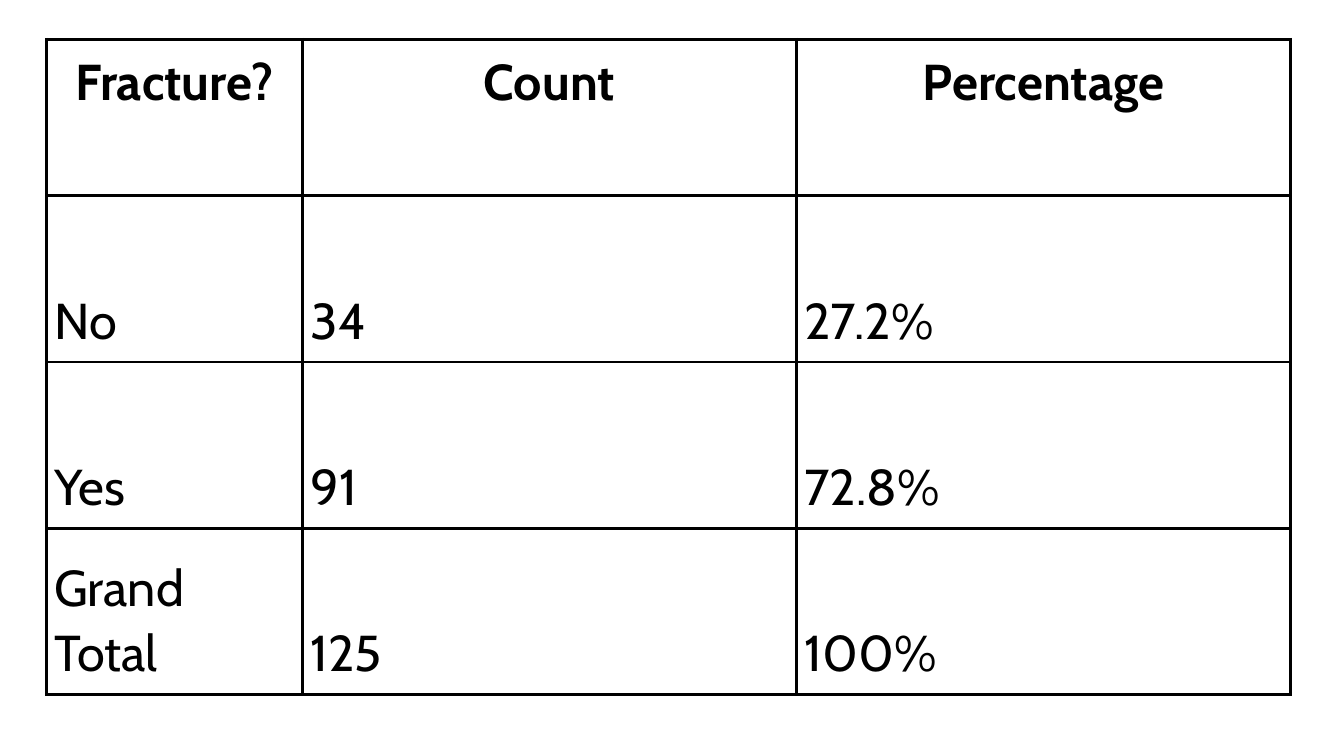
from lxml import etree
from pptx import Presentation
from pptx.dml.color import RGBColor
from pptx.enum.text import MSO_ANCHOR, PP_ALIGN
from pptx.oxml.ns import qn
from pptx.util import Inches, Pt

CENTER, LEFT = PP_ALIGN.CENTER, PP_ALIGN.LEFT
TOP, BOTTOM = MSO_ANCHOR.TOP, MSO_ANCHOR.BOTTOM
BLACK = "000000"
COLS = [2.54, 4.9, 4.9]
ROWS = [1.55, 1.65, 1.65, 1.65]
DATA = [
    ["Fracture?", "Count", "Percentage"],
    ["No", "34", "27.2%"],
    ["Yes", "91", "72.8%"],
    ["Grand Total", "125", "100%"],
]


def write(cell, text, bold=False, align=LEFT, anchor=BOTTOM, pad=0.1):
    cell.vertical_anchor = anchor
    cell.margin_left = cell.margin_right = Inches(0.08)
    cell.margin_top = cell.margin_bottom = Inches(pad)
    p = cell.text_frame.paragraphs[0]
    p.alignment, p.line_spacing = align, 1.07
    p.space_before = p.space_after = Pt(12)
    r = p.add_run()
    r.text = text
    r.font.name, r.font.size, r.font.bold = "Cabin", Pt(36), bold
    r.font.color.rgb = RGBColor.from_string(BLACK)


def border(cell, color=BLACK, width=2.25):
    tcPr = cell._tc.get_or_add_tcPr()
    for i, side in enumerate(("lnL", "lnR", "lnT", "lnB")):
        ln = etree.Element(qn(f"a:{side}"), w=str(Pt(width)))
        fill = etree.SubElement(ln, qn("a:solidFill"))
        etree.SubElement(fill, qn("a:srgbClr"), val=color)
        tcPr.insert(i, ln)


prs = Presentation()
prs.slide_width, prs.slide_height = Inches(13.33), Inches(7.5)
s = prs.slides.add_slide(prs.slide_layouts[6])

# Table grid
table = s.shapes.add_table(len(ROWS), len(COLS), Inches(0.46), Inches(0.39),
                           Inches(sum(COLS)), Inches(sum(ROWS))).table
table.horz_banding = False
table.first_row = False
for col, width in zip(table.columns, COLS):
    col.width = Inches(width)
for row, height in zip(table.rows, ROWS):
    row.height = Inches(height)

# Header and counts
for i, values in enumerate(DATA):
    look = dict(bold=True, align=CENTER, anchor=TOP, pad=0.08) if i == 0 else {}
    for j, value in enumerate(values):
        cell = table.cell(i, j)
        cell.fill.background()
        write(cell, value, **look)
        border(cell)

prs.save("out.pptx")
